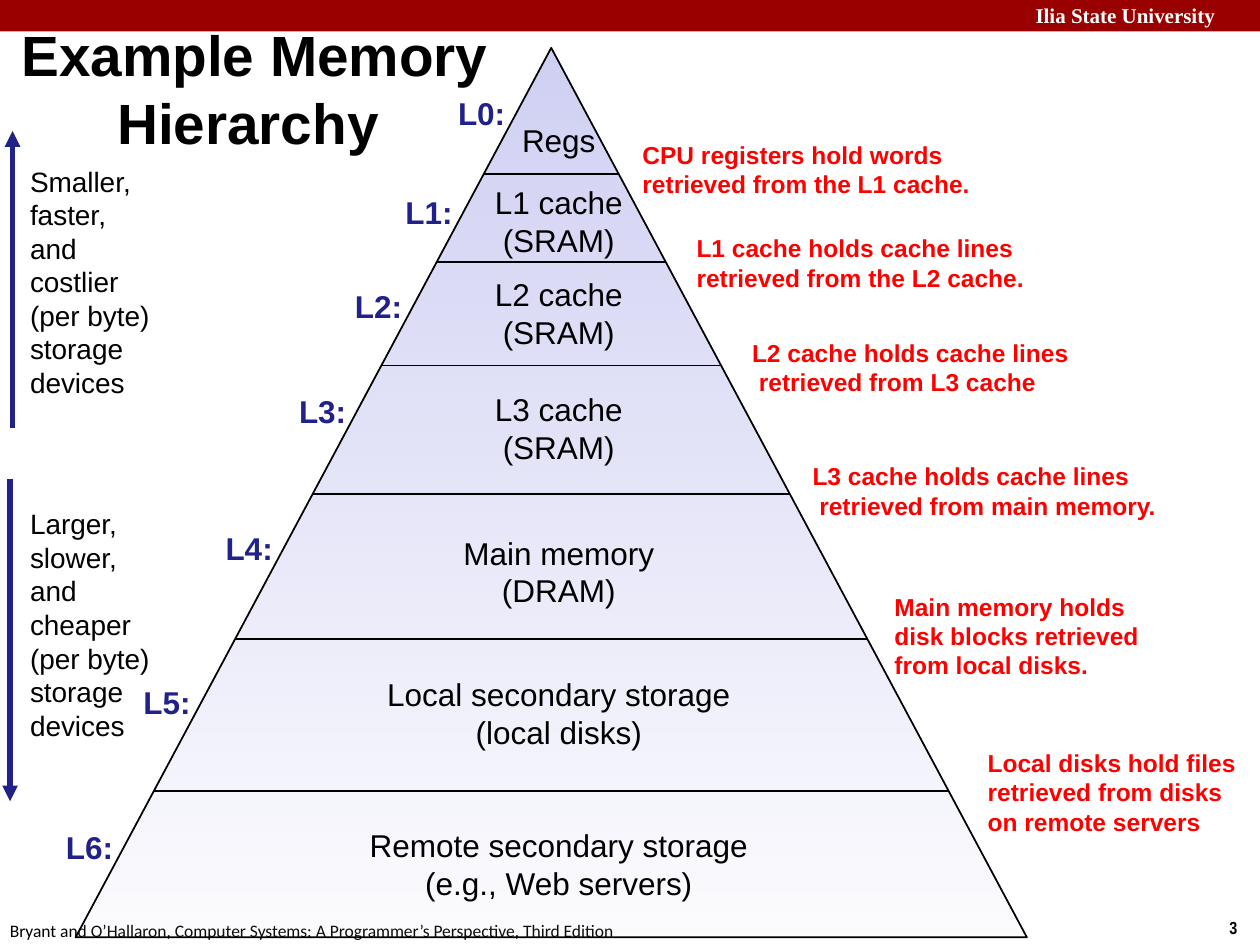
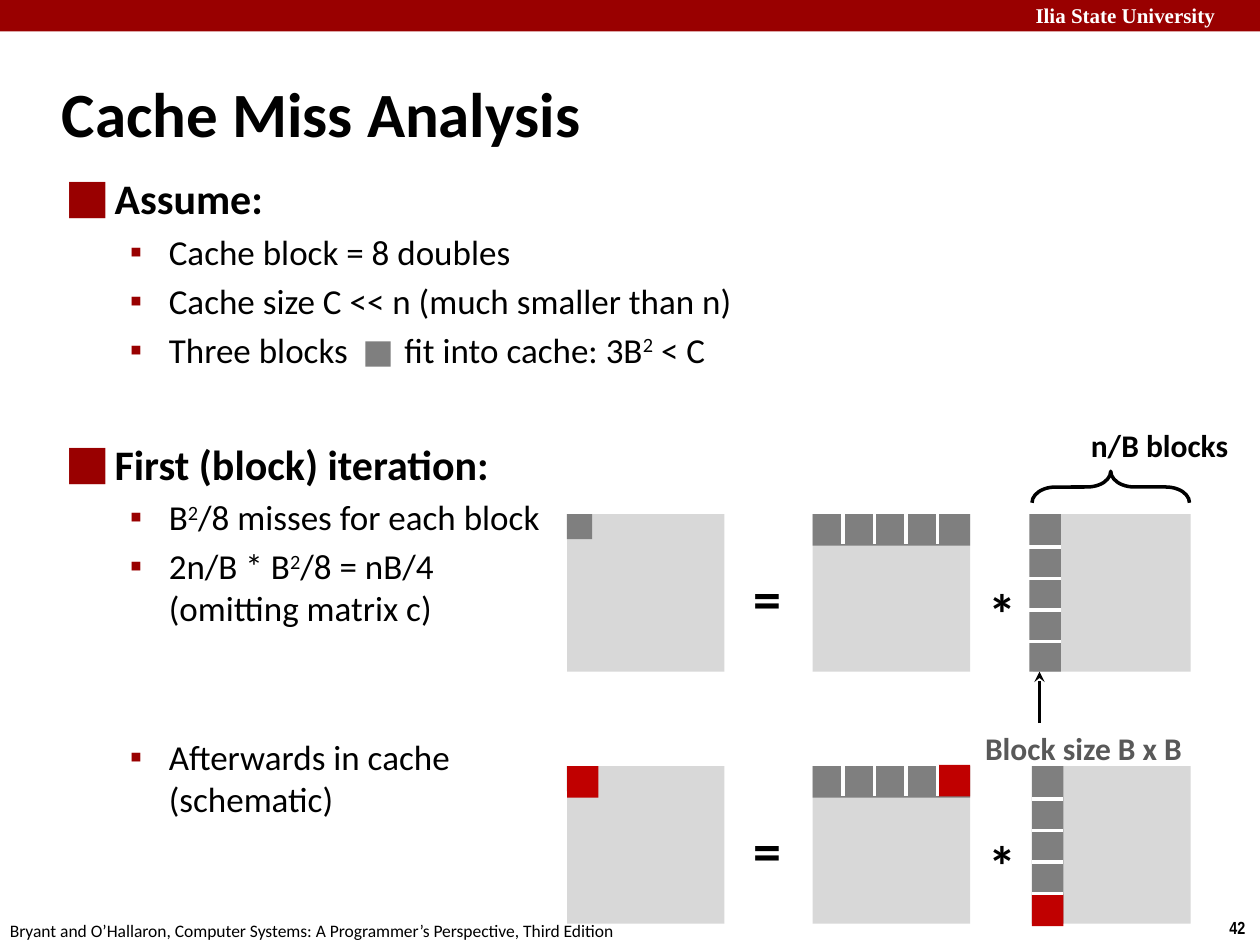
from lxml import etree
from pptx import Presentation
from pptx.dml.color import RGBColor
from pptx.enum import shapes, text
from pptx.oxml import ns
from pptx import util as u

deck = Presentation()
deck.slide_width, deck.slide_height = u.Inches(10), u.Inches(7.5)
COLUMN, ROW = deck.slide_width / 100, deck.slide_height / 75
colour = RGBColor.from_string
BLACK, WHITE, CRIMSON, NAVY, NOTE_RED = "000000", "FFFFFF", "990000", "21218A", "FF0000"
PALE, GREY, CACHED = "D8D8D8", "7F7F7F", "C00000"
LEFT, CENTER = text.PP_ALIGN.LEFT, text.PP_ALIGN.CENTER
TOP, MIDDLE = text.MSO_ANCHOR.TOP, text.MSO_ANCHOR.MIDDLE


def add_text(page, left, top, width, height, words, size, font="Arial", hue=BLACK,
             bold=False, align=LEFT, anchor=MIDDLE):
    box = page.shapes.add_textbox(int(left * COLUMN), int(top * ROW), int(width * COLUMN), int(height * ROW))
    frame = box.text_frame
    frame.word_wrap = True
    frame.vertical_anchor = anchor
    frame.text = words
    for para in frame.paragraphs:
        para.alignment = align
        for span in para.runs:
            span.font.name, span.font.size, span.font.bold = font, u.Pt(size), bold
            span.font.color.rgb = colour(hue)


def add_line(page, x1, y1, x2, y2, hue=BLACK, weight=1, arrow=None):
    line = page.shapes.add_connector(
        shapes.MSO_CONNECTOR.STRAIGHT, int(x1 * COLUMN), int(y1 * ROW), int(x2 * COLUMN), int(y2 * ROW))
    line.line.color.rgb = colour(hue)
    line.line.width = u.Pt(weight)
    if arrow:
        etree.SubElement(line.line._get_or_add_ln(), ns.qn("a:tailEnd"), type=arrow)
    etree.SubElement(line._element.spPr, ns.qn("a:effectLst"))


hierarchy = deck.slides.add_slide(deck.slide_layouts[5])
analysis = deck.slides.add_slide(deck.slide_layouts[1])

for page, number, title, font, size, (left, top, width, height) in (
        (hierarchy, "3", "Example Memory\nHierarchy", "Arial", 32.4, (0.7, 2.7, 95.3, 8.6)),
        (analysis, "42", "Cache Miss Analysis", "Calibri", 36, (3.9, 4.8, 83, 8.3))):
    band = page.shapes.add_shape(shapes.MSO_SHAPE.RECTANGLE, 0, 0, deck.slide_width, int(2.5 * ROW))
    band.shadow.inherit = False
    band.fill.solid()
    band.fill.fore_color.rgb = colour(CRIMSON)
    band.line.fill.background()
    add_text(page, 81.2, -0.3, 19.5, 5, "Ilia State University", 12, "Times New Roman", WHITE, True, anchor=TOP)
    add_text(page, 96.6, 72.3, 3.4, 2.7, number, 10, "Arial Narrow", bold=True, anchor=TOP)
    add_text(page, -0.2, 72.5, 50.8, 2.7,
             "Bryant and O’Hallaron, Computer Systems: A Programmer’s Perspective, Third Edition",
             10, "Calibri", anchor=TOP)

    heading = page.shapes.title
    heading.left, heading.top = int(left * COLUMN), int(top * ROW)
    heading.width, heading.height = int(width * COLUMN), int(height * ROW)
    frame = heading.text_frame
    frame.auto_size = text.MSO_AUTO_SIZE.NONE
    frame.vertical_anchor = MIDDLE
    frame.text = title
    for order, para in enumerate(frame.paragraphs):
        para.alignment = LEFT
        para._p.get_or_add_pPr().set("marL", str(int(order * 7.6 * COLUMN)))
        for span in para.runs:
            span.font.name, span.font.size, span.font.bold = font, u.Pt(size), True
            span.font.color.rgb = colour(BLACK)

APEX_X, APEX_Y, HALF_BASE, PYRAMID_HEIGHT = 43.75, 3.8, 37.75, 70.6
SLOPE = HALF_BASE / PYRAMID_HEIGHT
pyramid = hierarchy.shapes.add_shape(
    shapes.MSO_SHAPE.ISOSCELES_TRIANGLE, int((APEX_X - HALF_BASE) * COLUMN), int(APEX_Y * ROW),
    int(2 * HALF_BASE * COLUMN), int(PYRAMID_HEIGHT * ROW))
pyramid.shadow.inherit = False
pyramid.line.color.rgb = colour(BLACK)
pyramid.line.width = u.Pt(1)
pyramid.fill.gradient()
pyramid.fill.gradient_angle = 90
for stop in pyramid.fill.gradient_stops:
    stop.color.rgb = colour("D0D0F4")
foot_colour = pyramid._element.spPr.find(".//" + ns.qn("a:srgbClr"))
etree.SubElement(foot_colour, ns.qn("a:alpha"), val="6000")

levels = (
    (11.1, 9, "Regs"),
    (17.55, 16.8, "L1 cache\n(SRAM)"),
    (24.85, 24.3, "L2 cache\n(SRAM)"),
    (33.95, 32.6, "L3 cache\n(SRAM)"),
    (45.35, 43.5, "Main memory\n(DRAM)"),
    (56.55, 55.7, "Local secondary storage\n(local disks)"),
    (68.55, 67.2, "Remote secondary storage\n(e.g., Web servers)"),
)
for level, (name_y, label_y, name) in enumerate(levels):
    height = 4 if level == 0 else 7.1
    add_text(hierarchy, 28.2, name_y - height / 2, 32.3, height, name, 18, align=CENTER)
    edge = APEX_X - (label_y - APEX_Y) * SLOPE
    add_text(hierarchy, edge - 5.6, label_y - 2, 6, 4, f"L{level}:", 18, hue=NAVY, bold=True)

notes = (
    (13.8, 50, 13.45, 31.9, 5.7, "CPU registers hold words retrieved from the L1 cache."),
    (20.8, 54.3, 20.85, 31, 5.7, "L1 cache holds cache lines retrieved from the L2 cache."),
    (29, 58.7, 29.15, 28.8, 5.7, "L2 cache holds cache lines\n retrieved from L3 cache"),
    (39.2, 63.5, 38.95, 31.5, 5.7, "L3 cache holds cache lines\n retrieved from main memory."),
    (50.7, 70, 50.45, 23.9, 8.1, "Main memory holds disk blocks retrieved from local disks."),
    (62.8, 77.4, 62.85, 22.6, 8.1, "Local disks hold files retrieved from disks\non remote servers"),
)
for divider_y, left, middle, width, height, note in notes:
    reach = (divider_y - APEX_Y) * SLOPE
    add_line(hierarchy, APEX_X - reach, divider_y, APEX_X + reach, divider_y)
    add_text(hierarchy, left, middle - height / 2, width, height, note, 14, hue=NOTE_RED, bold=True)

for x, start, end, top, traits in (
        (1, 34, 10.4, 12.4, "Smaller,\nfaster,\nand\ncostlier"),
        (0.8, 38, 63.6, 39.6, "Larger,\nslower,\nand\ncheaper")):
    add_line(hierarchy, x, start, x, end, NAVY, 3, "triangle")
    add_text(hierarchy, 1.4, top, 11.6, 19.9, traits + "\n(per byte)\nstorage\ndevices", 16)

body = analysis.placeholders[1]
body.left, body.top = int(4.3 * COLUMN), int(13.2 * ROW)
body.width, body.height = int(86.4 * COLUMN), int(33.4 * ROW)
body.text_frame.auto_size = text.MSO_AUTO_SIZE.NONE
points = (
    (0, 0, "Assume:"),
    (1, 4, "Cache block = 8 doubles"),
    (1, 4, "Cache size C << n (much smaller than n)"),
    (1, 4, "Three blocks\tfit into cache: 3B|2| < C"),
    (0, 39, "First (block) iteration:"),
    (1, 4, "B|2|/8 misses for each block"),
    (1, 4, "2n/B * B|2|/8 = nB/4|\n|(omitting matrix c)"),
    (1, 61, "Afterwards in cache|\n|(schematic)"),
)
for order, (depth, gap, words) in enumerate(points):
    para = body.text_frame.paragraphs[0] if order == 0 else body.text_frame.add_paragraph()
    para.level, para.space_before = depth, u.Pt(gap)
    bullet, margin, hang, size = (("⬛", 3.8, 3.8, 24), ("▪", 8.1, 3.1, 20))[depth]
    props = para._p.get_or_add_pPr()
    props.set("marL", str(int(margin * COLUMN)))
    props.set("indent", str(int(-hang * COLUMN)))
    etree.SubElement(etree.SubElement(props, ns.qn("a:buClr")), ns.qn("a:srgbClr"), val=CRIMSON)
    etree.SubElement(props, ns.qn("a:buChar"), char=bullet)
    if "\t" in words:
        stops = etree.SubElement(props, ns.qn("a:tabLst"))
        etree.SubElement(stops, ns.qn("a:tab"), pos=str(int(26.8 * COLUMN)), algn="l")
    for piece in words.split("|"):
        if piece == "\n":
            para.add_line_break()
            continue
        span = para.add_run()
        span.text = piece
        span.font.name, span.font.size, span.font.bold = "Calibri", u.Pt(size), depth == 0
        span.font.color.rgb = colour(BLACK)
        if piece == "2":
            span._r.get_or_add_rPr().set("baseline", "30000")

SIDE, CELL, SMALL = 12.5, 2.5, 2
RESULT_X, ROW_X, COLUMN_X = 45, 64.5, 82
FIRST_Y, AFTER_Y = 40.8, 60.8
squares = [(29, 27.1, SMALL, SMALL, GREY)]
for top, strip_x in ((FIRST_Y, 81.7), (AFTER_Y, 81.9)):
    squares += [(x, top, SIDE, SIDE, PALE) for x in (RESULT_X, ROW_X, COLUMN_X)]
    squares += [(RESULT_X, top, SMALL, SMALL, GREY), (ROW_X, top, SIDE, CELL, GREY),
                (strip_x, top, CELL, SIDE, GREY)]
squares += [(RESULT_X, AFTER_Y, CELL, CELL, CACHED),
            (ROW_X + 4 * CELL, AFTER_Y - 0.1, CELL, CELL, CACHED),
            (81.9, AFTER_Y + 4 * CELL + 0.2, CELL, CELL, CACHED)]
for left, top, width, height, hue in squares:
    square = analysis.shapes.add_shape(
        shapes.MSO_SHAPE.RECTANGLE, int(left * COLUMN), int(top * ROW), int(width * COLUMN), int(height * ROW))
    square.shadow.inherit = False
    square.fill.solid()
    square.fill.fore_color.rgb = colour(hue)
    square.line.fill.background()

for top, strip_x in ((FIRST_Y, 81.7), (AFTER_Y, 81.9)):
    for cell in range(1, 5):
        x, y = ROW_X + cell * CELL - 0.1, top + cell * CELL + 0.1
        add_line(analysis, x, top - 0.1, x, top + 2.4, WHITE, 2)
        add_line(analysis, strip_x, y, strip_x + CELL, y, WHITE, 2)
    for left, drop, sign in ((58.8, 3.4, "="), (77.5, 4.6, "*")):
        add_text(analysis, left, top + drop, 4.3, 6.4, sign, 32, "Calibri", bold=True, anchor=TOP)

add_text(analysis, 77.2, 57.4, 17.8, 4, "Block size B x B", 18, "Calibri", "595959", True, anchor=TOP)
add_line(analysis, 82.5, 57.4, 82.5, 53.3, BLACK, 2, "stealth")
add_text(analysis, 85.6, 33.3, 13, 4, "n/B blocks", 18, "Calibri", bold=True, anchor=TOP)
brace = analysis.shapes.add_shape(
    shapes.MSO_SHAPE.LEFT_BRACE, int(86.9 * COLUMN), int(32.4 * ROW), int(CELL * COLUMN), int(SIDE * ROW))
brace.rotation = 90
brace.adjustments[0] = 0.75
brace.shadow.inherit = False
brace.fill.background()
brace.line.color.rgb = colour(BLACK)
brace.line.width = u.Pt(2)

deck.save("out.pptx")
